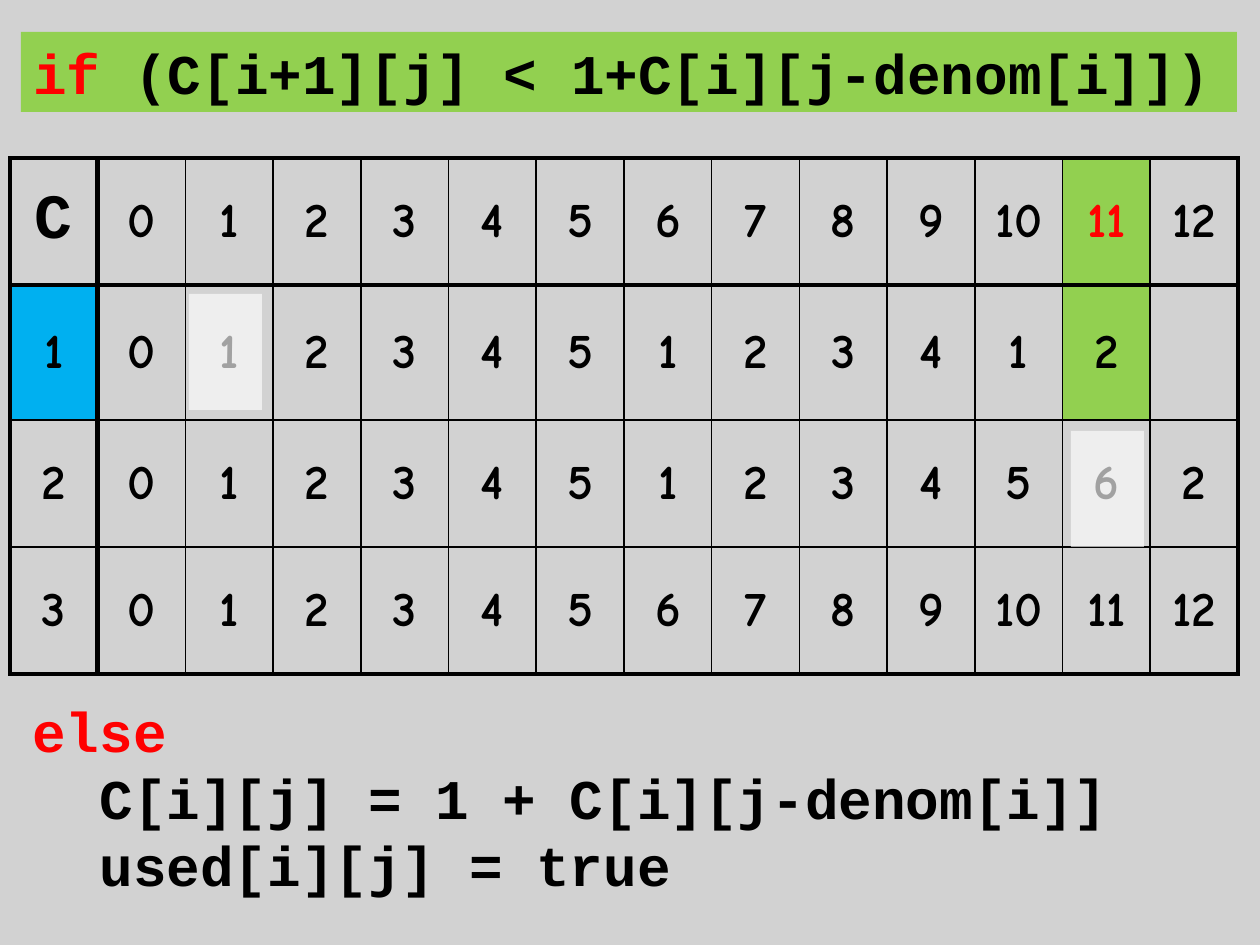
import lxml.etree
import pptx
import pptx.dml.color
import pptx.enum.shapes
import pptx.enum.text
import pptx.oxml.ns
import pptx.util

EMU_PER_PX = 914400 / 126
BLACK = pptx.dml.color.RGBColor(0x00, 0x00, 0x00)
WHITE = pptx.dml.color.RGBColor(0xFF, 0xFF, 0xFF)
SILVER = pptx.dml.color.RGBColor(0xC0, 0xC0, 0xC0)
RED = pptx.dml.color.RGBColor(0xFF, 0x00, 0x00)
GREEN = pptx.dml.color.RGBColor(0x92, 0xD0, 0x50)
BLUE = pptx.dml.color.RGBColor(0x00, 0xB0, 0xF0)
CODE_FONT = "Courier New"
NUMBER_FONT = "Comic Neue"
THIN, OUTER, HEADER = 1, 2.25, 3

COST_ROWS = [
    ["C", *range(13)],
    [1, 0, 1, 2, 3, 4, 5, 1, 2, 3, 4, 1, 2, ""],
    [2, 0, 1, 2, 3, 4, 5, 1, 2, 3, 4, 5, 6, 2],
    [3, *range(13)],
]
CELL_FILLS = {(0, 12): GREEN, (1, 12): GREEN, (1, 0): BLUE}
CELL_FORMATS = {(0, 0): {"size": 36, "font": CODE_FONT}, (0, 12): {"color": RED}}


def px(length):
    return pptx.util.Emu(round(length * EMU_PER_PX))


def add_run(paragraph, text, *, size=32, font=CODE_FONT, color=BLACK, bold=True):
    run = paragraph.add_run()
    run.text = text
    run.font.size = pptx.util.Pt(size)
    run.font.name = font
    run.font.bold = bold
    run.font.color.rgb = color


def sub_element(parent, tag, **attributes):
    return lxml.etree.SubElement(parent, pptx.oxml.ns.qn(tag), attributes)


def rule_width(index, last):
    """Weight of a grid rule, counted from the table's top or left edge."""
    return {0: OUTER, 1: HEADER, last: OUTER}.get(index, THIN)


class SlideBuilder:
    def __init__(self, slide):
        self.slide = slide

    def rectangle(self, left, top, width, height, color, opacity=100):
        shape = self.slide.shapes.add_shape(
            pptx.enum.shapes.MSO_SHAPE.RECTANGLE, px(left), px(top), px(width), px(height))
        shape.shadow.inherit = False
        shape.line.fill.background()
        shape.fill.solid()
        shape.fill.fore_color.rgb = color
        if opacity < 100:
            color_xml = shape._element.spPr.find(".//" + pptx.oxml.ns.qn("a:srgbClr"))
            sub_element(color_xml, "a:alpha", val=str(opacity * 1000))
        return shape

    def text_box(self, left, top, width, height):
        return self.slide.shapes.add_textbox(px(left), px(top), px(width), px(height))

    def code(self, shape, lines):
        """Each line is an indent in px and a list of (text, color) runs."""
        frame = shape.text_frame
        frame.word_wrap = True
        frame.auto_size = pptx.enum.text.MSO_AUTO_SIZE.SHAPE_TO_FIT_TEXT
        frame.vertical_anchor = pptx.enum.text.MSO_ANCHOR.TOP
        for number, (indent, runs) in enumerate(lines):
            paragraph = frame.add_paragraph() if number else frame.paragraphs[0]
            paragraph.alignment = pptx.enum.text.PP_ALIGN.LEFT
            if indent:
                paragraph._p.get_or_add_pPr().set("marL", str(px(indent)))
            for text, color in runs:
                add_run(paragraph, text, color=color)

    def cell_borders(self, cell, widths):
        properties = cell._tc.get_or_add_tcPr()
        for position, (side, width) in enumerate(widths.items()):
            line = sub_element(properties, "a:ln" + side, w=str(pptx.util.Pt(width)))
            fill = sub_element(line, "a:solidFill")
            sub_element(fill, "a:srgbClr", val=str(BLACK))
            properties.insert(position, line)

    def cost_table(self, left, top, width, row_heights, rows):
        row_count, column_count = len(rows), len(rows[0])
        table = self.slide.shapes.add_table(
            row_count, column_count, px(left), px(top), px(width), px(sum(row_heights))).table
        table.first_row = False
        table.horz_banding = False
        for column in table.columns:
            column.width = px(width / column_count)
        for r, values in enumerate(rows):
            table.rows[r].height = px(row_heights[r])
            for c, value in enumerate(values):
                cell = table.cell(r, c)
                cell.vertical_anchor = pptx.enum.text.MSO_ANCHOR.MIDDLE
                if (r, c) in CELL_FILLS:
                    cell.fill.solid()
                    cell.fill.fore_color.rgb = CELL_FILLS[r, c]
                else:
                    cell.fill.background()
                self.cell_borders(cell, {
                    "L": rule_width(c, column_count), "R": rule_width(c + 1, column_count),
                    "T": rule_width(r, row_count), "B": rule_width(r + 1, row_count)})
                paragraph = cell.text_frame.paragraphs[0]
                paragraph.alignment = pptx.enum.text.PP_ALIGN.CENTER
                if value != "":
                    text_format = {"size": 28, "font": NUMBER_FONT} | CELL_FORMATS.get((r, c), {})
                    add_run(paragraph, str(value), **text_format)


def main():
    presentation = pptx.Presentation()
    presentation.slide_width = px(1260)
    presentation.slide_height = px(945)
    builder = SlideBuilder(presentation.slides.add_slide(presentation.slide_layouts[6]))

    # Grey backdrop
    builder.rectangle(0, 0, 1260, 945, SILVER, opacity=70)

    # Table of coin counts, with veils over the two compared entries
    builder.cost_table(10, 158, 1228, [127, 135, 127, 127], COST_ROWS)
    for left, top in [(1071, 431), (189, 294)]:
        builder.rectangle(left, top, 73, 116, WHITE, opacity=63)

    # Condition
    condition = builder.rectangle(21, 32, 1216, 80, GREEN)
    builder.code(condition, [
        (0, [("if ", RED), ("(C[i+1][j] < 1+C[i][j-denom[i]])", BLACK)])])

    # Else branch
    else_branch = builder.text_box(20, 690, 1114, 217)
    builder.code(else_branch, [
        (0, [("else", RED)]),
        (67, [("C[i][j] = 1 + C[i][j-denom[i]]", BLACK)]),
        (67, [("used[i][j] = true", BLACK)])])

    presentation.save("out.pptx")


if __name__ == "__main__":
    main()
